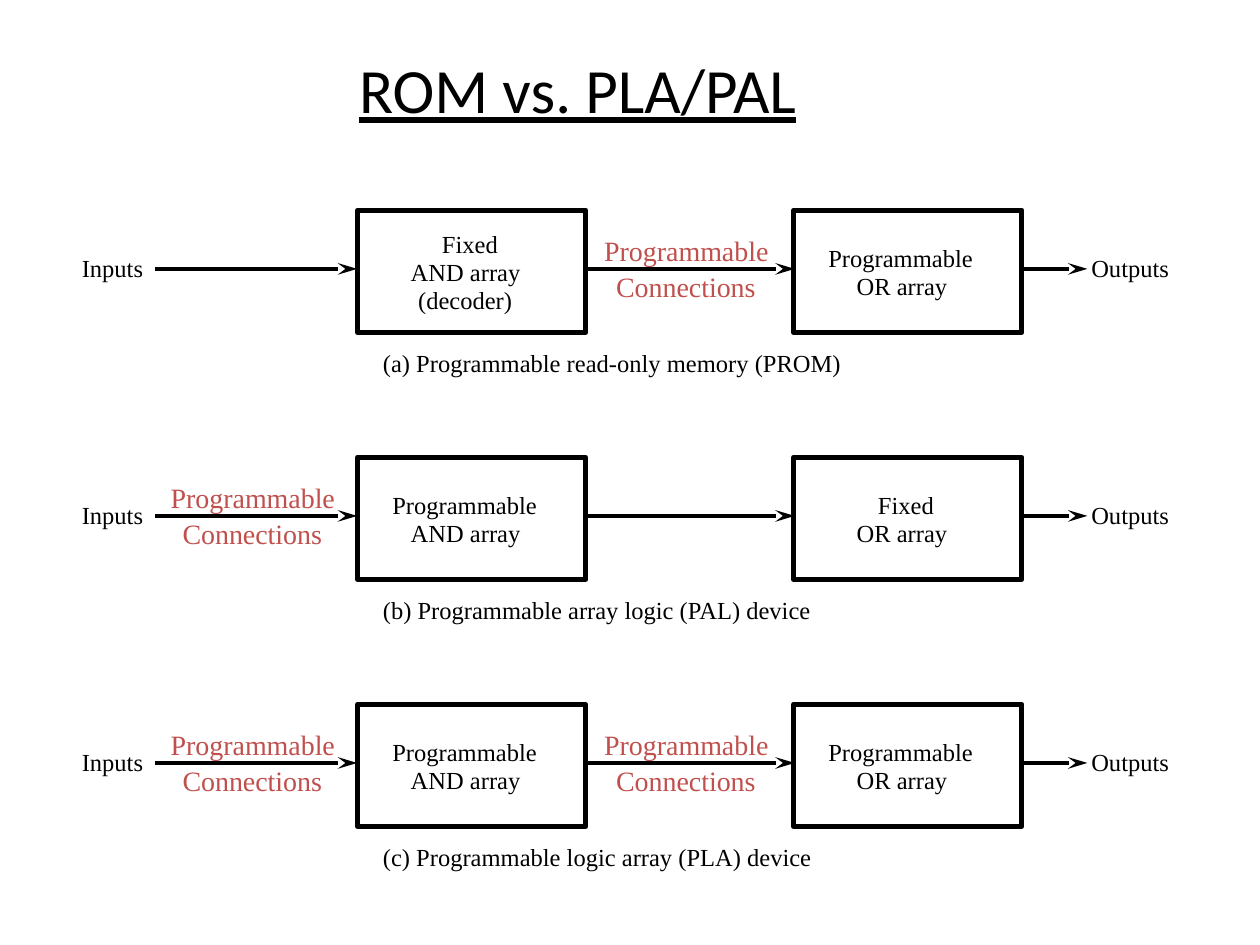
from lxml import etree
from pptx import Presentation
from pptx.dml.color import RGBColor
from pptx.enum.shapes import MSO_CONNECTOR, MSO_SHAPE
from pptx.enum.text import MSO_ANCHOR, MSO_AUTO_SIZE, PP_ALIGN
from pptx.oxml.ns import qn
from pptx.util import Cm, Pt

STRAIGHT = MSO_CONNECTOR.STRAIGHT
RECTANGLE = MSO_SHAPE.RECTANGLE
MIDDLE = MSO_ANCHOR.MIDDLE
FIT_SHAPE = MSO_AUTO_SIZE.SHAPE_TO_FIT_TEXT
CENTER, LEFT = PP_ALIGN.CENTER, PP_ALIGN.LEFT
BLACK = RGBColor(0x00, 0x00, 0x00)
RED = RGBColor(0xC0, 0x50, 0x4D)

TITLE = "ROM vs. PLA/PAL"
DEVICES = [
    {"caption": "(a) Programmable read-only memory (PROM)", "caption_width": 10.01,
     "arrays": [["Fixed", "AND array", "(decoder)"], ["Programmable", "OR array"]],
     "programmable": ["middle"]},
    {"caption": "(b) Programmable array logic (PAL) device", "caption_width": 9.32,
     "arrays": [["Programmable", "AND array"], ["Fixed", "OR array"]],
     "programmable": ["input"]},
    {"caption": "(c) Programmable logic array (PLA) device", "caption_width": 9.3,
     "arrays": [["Programmable", "AND array"], ["Programmable", "OR array"]],
     "programmable": ["input", "middle"]},
]
ARRAY_LINES = {
    "Programmable": (0.7, 3.23),
    "AND array": (1.07, 2.31),
    "OR array": (1.27, 2.01),
    "Fixed": (1.7, 1.19),
    "(decoder)": (1.22, 2.11),
}
CONNECTION_LINES = [("Programmable", 0, 3.33), ("Connections", 0.24, 2.82)]
CONNECTION_LEFT = {"input": 3.44, "middle": 12.18}
PORTS = [("Inputs", 1.65, 1.35), ("Outputs", 22, 1.73)]
ARROWS = [(3.12, 7.2), (11.8, 16.02), (20.6, 21.92)]

FIRST_TOP, ROW_PITCH = 4.24, 4.98
ARRAY_LEFTS, ARRAY_WIDTH, ARRAY_HEIGHT = (7.21, 16), 4.6, 2.46
ARROW_DROP, PORT_DROP, CAPTION_DROP = 1.18, 0.86, 2.77
LINE_PITCH, CONNECTION_DROP, CONNECTION_PITCH = 0.56, 0.47, 0.73


def write(frame, text, size=14, color=BLACK, font="Times New Roman",
          align=LEFT, underline=False):
    para = frame.paragraphs[0]
    para.alignment = align
    span = para.add_run()
    span.text = text
    span.font.name = font
    span.font.size = Pt(size)
    span.font.color.rgb = color
    span.font.underline = underline


def add_label(page, text, left, top, width, height=0.58, **style):
    box = page.shapes.add_textbox(Cm(left), Cm(top), Cm(width), Cm(height))
    frame = box.text_frame
    frame.margin_left = frame.margin_right = 0
    frame.margin_top = frame.margin_bottom = 0
    frame.word_wrap = False
    frame.auto_size = FIT_SHAPE
    write(frame, text, **style)


def add_array(page, left, top, lines):
    box = page.shapes.add_shape(RECTANGLE, Cm(left), Cm(top),
                                Cm(ARRAY_WIDTH), Cm(ARRAY_HEIGHT))
    box.shadow.inherit = False
    box.fill.background()
    box.line.color.rgb = BLACK
    box.line.width = Pt(3)
    first = top + 1.22 - LINE_PITCH / 2 * len(lines)
    for index, text in enumerate(lines):
        offset, width = ARRAY_LINES[text]
        add_label(page, text, left + offset, first + index * LINE_PITCH, width)


def add_arrow(page, start, end, level):
    arrow = page.shapes.add_connector(STRAIGHT, Cm(start), Cm(level), Cm(end), Cm(level))
    arrow.line.color.rgb = BLACK
    arrow.line.width = Pt(2.25)
    properties = arrow.element.spPr
    etree.SubElement(properties.find(qn("a:ln")), qn("a:tailEnd"),
                     type="stealth", w="med", len="lg")
    etree.SubElement(properties, qn("a:effectLst"))


def add_device(page, device, top):
    for left, lines in zip(ARRAY_LEFTS, device["arrays"]):
        add_array(page, left, top, lines)
    for start, end in ARROWS:
        add_arrow(page, start, end, top + ARROW_DROP)
    for text, left, width in PORTS:
        add_label(page, text, left, top + PORT_DROP, width)
    for place in device["programmable"]:
        for index, (text, offset, width) in enumerate(CONNECTION_LINES):
            add_label(page, text, CONNECTION_LEFT[place] + offset,
                      top + CONNECTION_DROP + index * CONNECTION_PITCH,
                      width, 0.69, size=16, color=RED)
    add_label(page, device["caption"], 7.72, top + CAPTION_DROP, device["caption_width"])


def main():
    deck = Presentation()
    deck.slide_width, deck.slide_height = Cm(25.4), Cm(19.05)
    page = deck.slides.add_slide(deck.slide_layouts[5])
    title = page.shapes.title
    title.left, title.top, title.width, title.height = Cm(1.27), Cm(0.2), Cm(20.75), Cm(3.18)
    title.text_frame.vertical_anchor = MIDDLE
    write(title.text_frame, TITLE, size=36, font="Calibri", align=CENTER, underline=True)
    for row, device in enumerate(DEVICES):
        add_device(page, device, FIRST_TOP + row * ROW_PITCH)
    deck.save("out.pptx")


if __name__ == "__main__":
    main()
